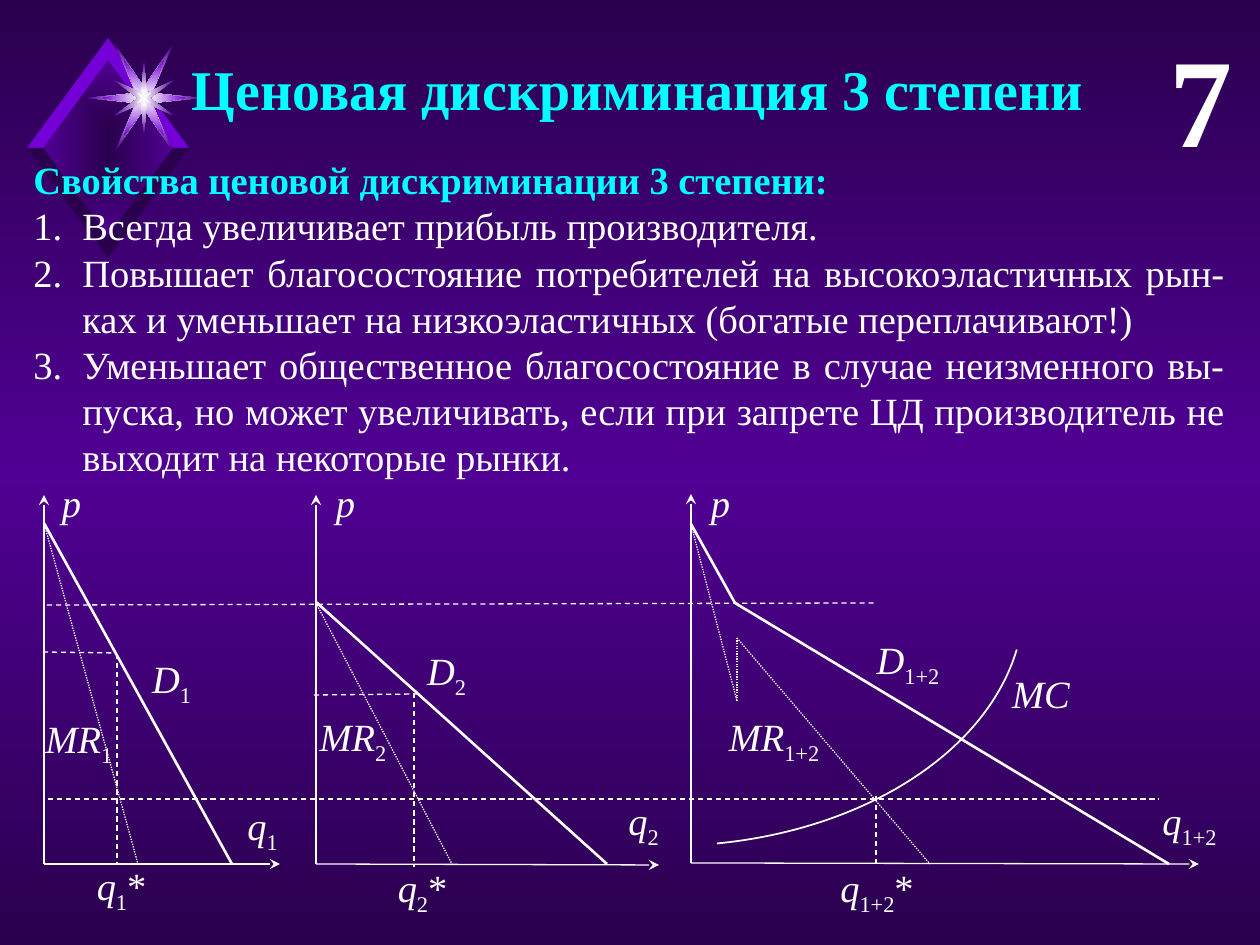
from pptx import Presentation
from pptx.util import Emu, Pt
from pptx.dml.color import RGBColor
from pptx.enum.dml import MSO_LINE
from pptx.enum.shapes import MSO_CONNECTOR, MSO_SHAPE
from pptx.enum.text import PP_ALIGN
from pptx.oxml import parse_xml
from pptx.oxml.ns import nsdecls, qn
from lxml import etree

LEFT, MID, RIGHT, JUST = PP_ALIGN.LEFT, PP_ALIGN.CENTER, PP_ALIGN.RIGHT, PP_ALIGN.JUSTIFY
DASH, DOT = MSO_LINE.DASH, MSO_LINE.ROUND_DOT
THEME = {
    "dark": "2A004E", "mid": "500093", "lit": "7500D7", "pale": "F9F9F9",
    "text": "FFFFFF", "head": "00FFFF", "font": "Times New Roman",
    "title": 32, "num": 72, "body": 22, "thin": 0.75, "curve": 1, "bold": 1.5,
}
SCALE = 914400 / 126


def px(*vals):
    return [Emu(round(v * SCALE)) for v in vals]


def shade(owner, stops, way):
    """Swap the solid fill of owner for a gradient."""
    marks = "".join(f'<a:gs pos="{pos * 1000}"><a:srgbClr val="{THEME[name]}"/></a:gs>'
                    for pos, name in stops)
    grad = parse_xml(f'<a:gradFill {nsdecls("a")} rotWithShape="1">'
                     f'<a:gsLst>{marks}</a:gsLst>{way}</a:gradFill>')
    owner.replace(owner.find(qn("a:solidFill")), grad)


ink = {name: RGBColor.from_string(THEME[name])
       for name in ("dark", "mid", "lit", "pale", "text", "head")}
DOWN = '<a:lin ang="5400000" scaled="0"/>'
CORE = '<a:path path="rect"><a:fillToRect l="50000" t="50000" r="50000" b="50000"/></a:path>'

prs = Presentation()
prs.slide_width, prs.slide_height = px(1260, 945)
slide = prs.slides.add_slide(prs.slide_layouts[6])
shapes = slide.shapes

# Background
slide.background.fill.solid()
shade(slide.element.find(".//" + qn("p:bgPr")),
      [(0, "dark"), (50, "mid"), (100, "dark")], DOWN)

# Diamond ornament: a face, four bevels and a star of four layers
parts = [([(108, 59), (43, 148), (108, 238), (174, 148)], ("dark", "mid"))]
for sy, tone in ((-1, "lit"), (1, "dark")):
    for sx in (1, -1):
        bevel = [(0, 88), (0, 110), (81, 0), (65, 0)]
        parts.append(([(108 + sx * x, 148 + sy * y) for x, y in bevel], (tone,)))
rays = [
    ([(0, -11), (28, -52), (8, -5), (57, 0)], ("text", "mid")),
    ([(0, -11), (20, -38), (8, -5), (42, 0)], ("text", "lit")),
    ([(0, -36), (3, -5), (30, -18), (6, 0)], ("text", "mid")),
    ([(0, -9), (1, -3), (7, -5), (2, 0)], ("pale",)),
]
for arm, tones in rays:
    star = (arm + [(x, -y) for x, y in arm[-2::-1]]
            + [(-x, -y) for x, y in arm[1:]] + [(-x, y) for x, y in arm[-2:0:-1]])
    parts.append(([(144 + x, 98 + y) for x, y in star], tones))
for pts, tones in parts:
    path = shapes.build_freeform(*pts[0], scale=SCALE)
    path.add_line_segments(pts[1:], close=True)
    part = path.convert_to_shape()
    part.shadow.inherit = False
    part.line.fill.background()
    part.fill.solid()
    part.fill.fore_color.rgb = ink[tones[0]]
    if len(tones) == 2:
        shade(part.element.spPr, [(0, tones[0]), (100, tones[1])], CORE)

# Title, number and list of properties: box, align, size, lines (text, tone, bold, listed)
blocks = [
    ((25, 48, 1212, 81), MID, "title",
     [("\u00a0Ценовая дискриминация 3 степени", "head", True, False)]),
    ((1087, 15, 158, 165), RIGHT, "num", [("7", "text", True, False)]),
    ((21, 150, 1216, 339), JUST, "body", [
        ("Свойства ценовой дискриминации 3 степени:", "head", True, False),
        ("Всегда увеличивает прибыль производителя.", "text", False, True),
        ("Повышает благосостояние потребителей на высокоэластичных рын-ках "
         "и уменьшает на низкоэластичных (богатые переплачивают!)", "text", False, True),
        ("Уменьшает общественное благосостояние в случае неизменного вы-пуска, "
         "но может увеличивать, если при запрете ЦД производитель не выходит "
         "на некоторые рынки.", "text", False, True)]),
]
for box, align, size, rows in blocks:
    frame = shapes.add_textbox(*px(*box)).text_frame
    frame.word_wrap = True
    for i, (text, tone, bold, listed) in enumerate(rows):
        para = frame.add_paragraph() if i else frame.paragraphs[0]
        para.text, para.alignment = text, align
        if listed:
            props = para._p.get_or_add_pPr()
            props.set("marL", str(px(49)[0]))
            props.set("indent", str(px(-49)[0]))
            etree.SubElement(props, qn("a:buAutoNum"), type="arabicPeriod")
        font = para.font
        font.name, font.size, font.bold = THEME["font"], Pt(THEME[size]), bold
        font.color.rgb = ink[tone]

# Lines of the three graphs: ends, weight, dash, arrowhead
lines = [
    # Axes
    (44, 864, 44, 495, "thin", None, True), (44, 864, 280, 864, "thin", None, True),
    (316, 864, 316, 495, "thin", None, True), (316, 864, 659, 865, "thin", None, True),
    (691, 863, 691, 494, "thin", None, True), (691, 863, 1199, 864, "thin", None, True),
    # Demand
    (44, 523, 232, 864, "bold", None, False), (316, 602, 607, 864, "bold", None, False),
    (691, 524, 735, 603, "bold", None, False), (735, 603, 1169, 864, "bold", None, False),
    # Marginal revenue
    (44, 523, 138, 864, "thin", DOT, False), (316, 603, 452, 864, "thin", DOT, False),
    (691, 524, 737, 701, "thin", DOT, False), (737, 701, 737, 638, "thin", DOT, False),
    (737, 638, 930, 864, "thin", DOT, False),
    # Shared levels
    (47, 605, 875, 603, "thin", DASH, False), (48, 799, 1159, 799, "thin", DASH, False),
    # Chosen quantities and prices
    (117, 654, 117, 863, "thin", DASH, False), (414, 693, 414, 867, "thin", DASH, False),
    (876, 796, 876, 863, "thin", DASH, False), (43, 652, 116, 653, "thin", DASH, False),
    (314, 695, 417, 694, "thin", DASH, False),
]
for *ends, weight, dash, arrow in lines:
    line = shapes.add_connector(MSO_CONNECTOR.STRAIGHT, *px(*ends))
    line.line.color.rgb = ink["text"]
    line.line.width = Pt(THEME[weight])
    if dash:
        line.line.dash_style = dash
    if arrow:
        etree.SubElement(line.line._get_or_add_ln(), qn("a:tailEnd"), type="stealth")
    etree.SubElement(line._element.spPr, qn("a:effectLst"))

# Marginal cost curve, with angles in units of 5/3 degree
cost = shapes.add_shape(MSO_SHAPE.ARC, *px(310, 355, 714, 491))
cost.adjustments[0], cost.adjustments[1] = 8 * 0.6, 78.4 * 0.6
cost.shadow.inherit = False
cost.fill.background()
cost.line.color.rgb = ink["text"]
cost.line.width = Pt(THEME["curve"])

# Labels: left, top, width, letter, subscript, mark
labels = [
    (50, 478, 43, "p", "", ""), (324, 478, 43, "p", "", ""), (699, 478, 43, "p", "", ""),
    (233, 801, 59, "q", "1", ""), (614, 796, 59, "q", "2", ""),
    (1134, 796, 111, "q", "1+2", ""),
    (142, 654, 59, "D", "1", ""), (417, 646, 59, "D", "2", ""), (866, 635, 84, "D", "1+2", ""),
    (42, 714, 74, "MR", "1", ""), (316, 712, 74, "MR", "2", ""),
    (719, 712, 110, "MR", "1+2", ""), (1004, 669, 74, "MC", "", ""),
    (93, 861, 57, "q", "1", "*"), (394, 863, 57, "q", "2", "*"), (829, 863, 96, "q", "1+2", "*"),
]
for left, top, width, name, sub, mark in labels:
    frame = shapes.add_textbox(*px(left, top, width, 66)).text_frame
    frame.word_wrap = True
    frame.margin_left = frame.margin_right = frame.margin_top = frame.margin_bottom = px(1)[0]
    para = frame.paragraphs[0]
    para.alignment = MID
    para.font.name, para.font.size = THEME["font"], Pt(THEME["body"])
    para.font.color.rgb = ink["text"]
    for text, slant, base in ((name, True, 0), (sub, False, -25000), (mark, False, 0)):
        if text:
            run = para.add_run()
            run.text, run.font.italic = text, slant
            if base:
                run.font._element.set("baseline", str(base))

prs.save("out.pptx")
